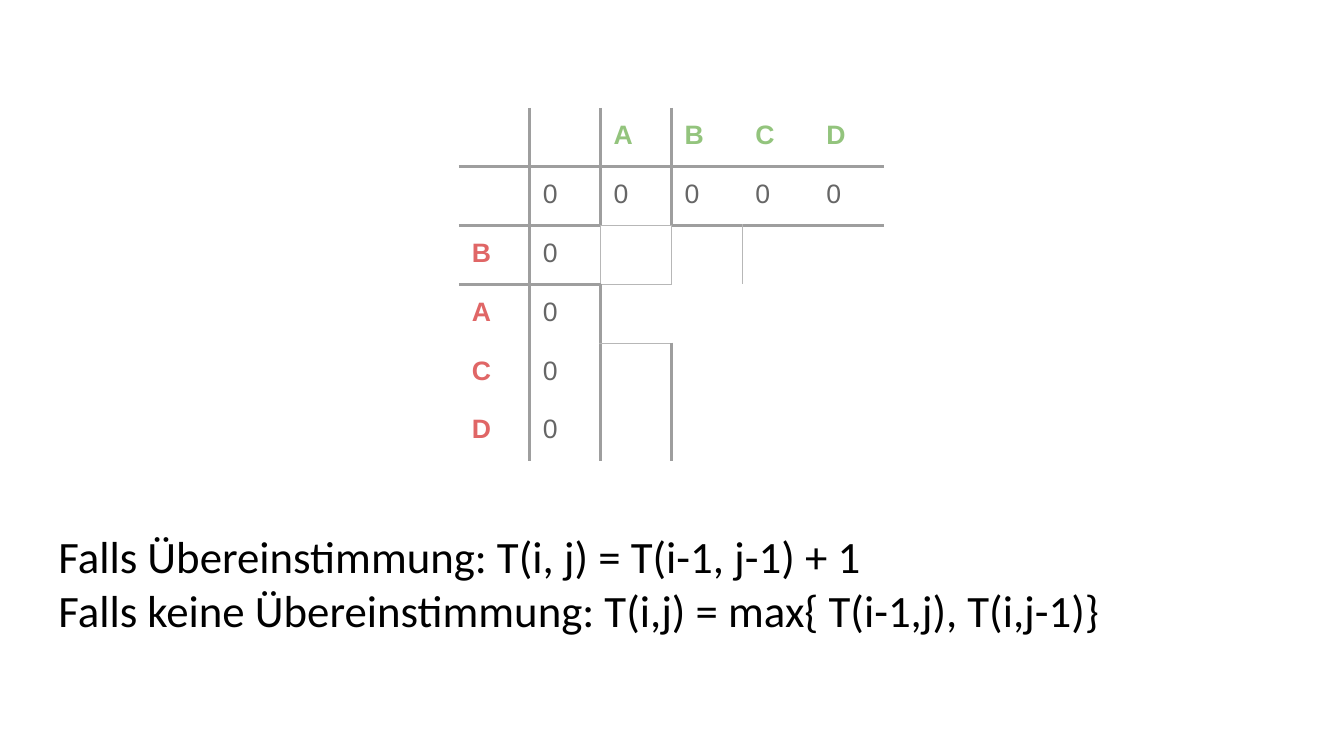
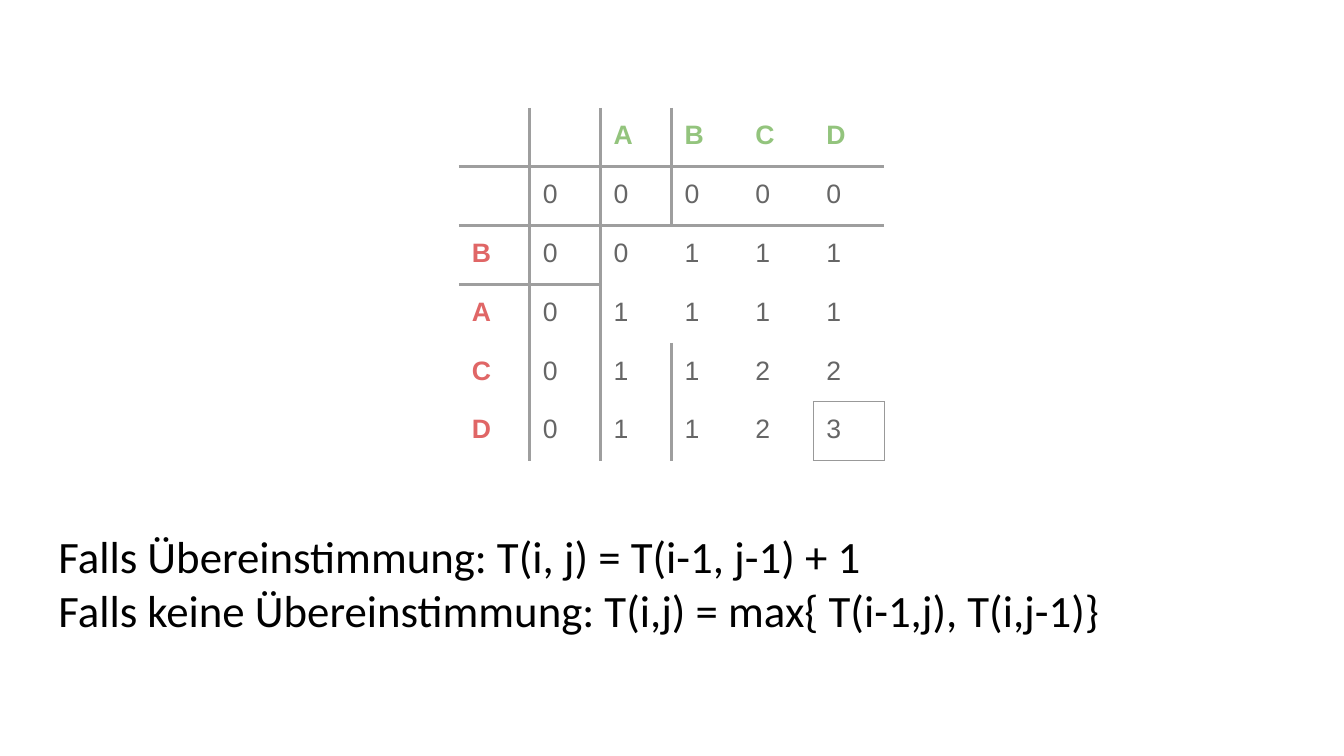
from collections import defaultdict

from lxml.etree import SubElement
from pptx import Presentation
from pptx.dml.color import RGBColor
from pptx.enum.text import MSO_ANCHOR
from pptx.oxml.ns import qn
from pptx.util import Inches, Pt

BLACK = RGBColor(0x00, 0x00, 0x00)
GREEN = RGBColor(0x93, 0xC4, 0x7D)
RED = RGBColor(0xE0, 0x66, 0x66)
TEXT_GRAY = RGBColor(0x66, 0x66, 0x66)
RULE_GRAY = RGBColor(0x9E, 0x9E, 0x9E)
LIGHT_GRAY = RGBColor(0xB7, 0xB7, 0xB7)
MID_GRAY = RGBColor(0x99, 0x99, 0x99)

PLAIN_TABLE = "{2D5ABB26-0587-4C30-8999-92F81FD0307C}"
INSET = Inches(0.13)
RULE_WIDTH, FRAME_WIDTH = Pt(2.25), Pt(0.75)
MATRIX_BOX = (Inches(4.55), Inches(1.07), Inches(4.22), Inches(3.5))
RECURRENCE_BOX = (Inches(0.45), Inches(5.12), Inches(12.42), Inches(0.84))

COLUMN_WORD = "ABCD"
ROW_WORD = "BACD"
SIZE = len(ROW_WORD) + 2
RECURRENCE = (
    "Falls Übereinstimmung: T(i, j) = T(i-1, j-1) + 1",
    "Falls keine Übereinstimmung: T(i,j) = max{ T(i-1,j), T(i,j-1)}",
)
START_SCORES = ("00000", "0", "0", "0", "0")
FINAL_SCORES = ("00000", "00111", "01111", "01122", "01123")

NEIGHBOURS = {
    "L": (0, -1, "R"),
    "R": (0, 1, "L"),
    "T": (-1, 0, "B"),
    "B": (1, 0, "T"),
}


def set_insets(holder):
    holder.margin_left = holder.margin_right = INSET
    holder.margin_top = holder.margin_bottom = INSET


def set_font(paragraph, name, size, color, bold=False):
    font = paragraph.font
    font.name, font.size, font.bold = name, Pt(size), bold
    font.color.rgb = color


def matrix_borders(framed, frame_color):
    borders = defaultdict(dict)

    def mark(row, col, side, color, width):
        down, right, opposite = NEIGHBOURS[side]
        borders[row, col][side] = (color, width)
        borders[row + down, col + right][opposite] = (color, width)

    for side in NEIGHBOURS:
        mark(*framed, side, frame_color, FRAME_WIDTH)
    for index in range(SIZE):
        mark(index, 0, "R", RULE_GRAY, RULE_WIDTH)
        mark(0, index, "B", RULE_GRAY, RULE_WIDTH)
    for row in (0, 1, 4, 5):
        mark(row, 1, "R", RULE_GRAY, RULE_WIDTH)
    for col in (0, 1):
        mark(1, col, "B", RULE_GRAY, RULE_WIDTH)
    return borders


def draw_borders(cell, sides):
    properties = cell._tc.get_or_add_tcPr()
    for side in NEIGHBOURS:
        if side in sides:
            color, width = sides[side]
            line = SubElement(properties, qn(f"a:ln{side}"), w=str(width))
            fill = SubElement(line, qn("a:solidFill"))
            SubElement(fill, qn("a:srgbClr"), val=str(color))


def cell_content(row, col, scores):
    if row == 0:
        return COLUMN_WORD[col - 2] if col > 1 else "", GREEN, True
    if col == 0:
        return ROW_WORD[row - 2] if row > 1 else "", RED, True
    return scores[row - 1][col - 1:col], TEXT_GRAY, False


def add_matrix(slide, box, scores, framed, frame_color):
    left, top, width, height = box
    frame = slide.shapes.add_table(SIZE, SIZE, left, top, width, height)
    table = frame.table
    table.first_row = table.horz_banding = False
    table._tbl.tblPr.find(qn("a:tableStyleId")).text = PLAIN_TABLE
    borders = matrix_borders(framed, frame_color)
    for row in range(SIZE):
        for col in range(SIZE):
            cell = table.cell(row, col)
            set_insets(cell)
            draw_borders(cell, borders[row, col])
            cell.fill.background()
            text, color, bold = cell_content(row, col, scores)
            cell.text = text
            set_font(cell.text_frame.paragraphs[0], "Arial", 19, color, bold)


def add_recurrence(slide, box):
    frame = slide.shapes.add_textbox(*box).text_frame
    frame.word_wrap = True
    frame.vertical_anchor = MSO_ANCHOR.TOP
    set_insets(frame)
    frame.text = "\n".join(RECURRENCE)
    for paragraph in frame.paragraphs:
        set_font(paragraph, "Calibri", 32, BLACK)


def add_matrix_slide(deck, scores, framed, frame_color):
    slide = deck.slides.add_slide(deck.slide_layouts[6])
    add_recurrence(slide, RECURRENCE_BOX)
    add_matrix(slide, MATRIX_BOX, scores, framed, frame_color)


def main():
    deck = Presentation()
    deck.slide_width, deck.slide_height = Inches(13.33), Inches(7.5)
    add_matrix_slide(deck, START_SCORES, (2, 2), LIGHT_GRAY)
    add_matrix_slide(deck, FINAL_SCORES, (5, 5), MID_GRAY)
    deck.save("out.pptx")


if __name__ == "__main__":
    main()
